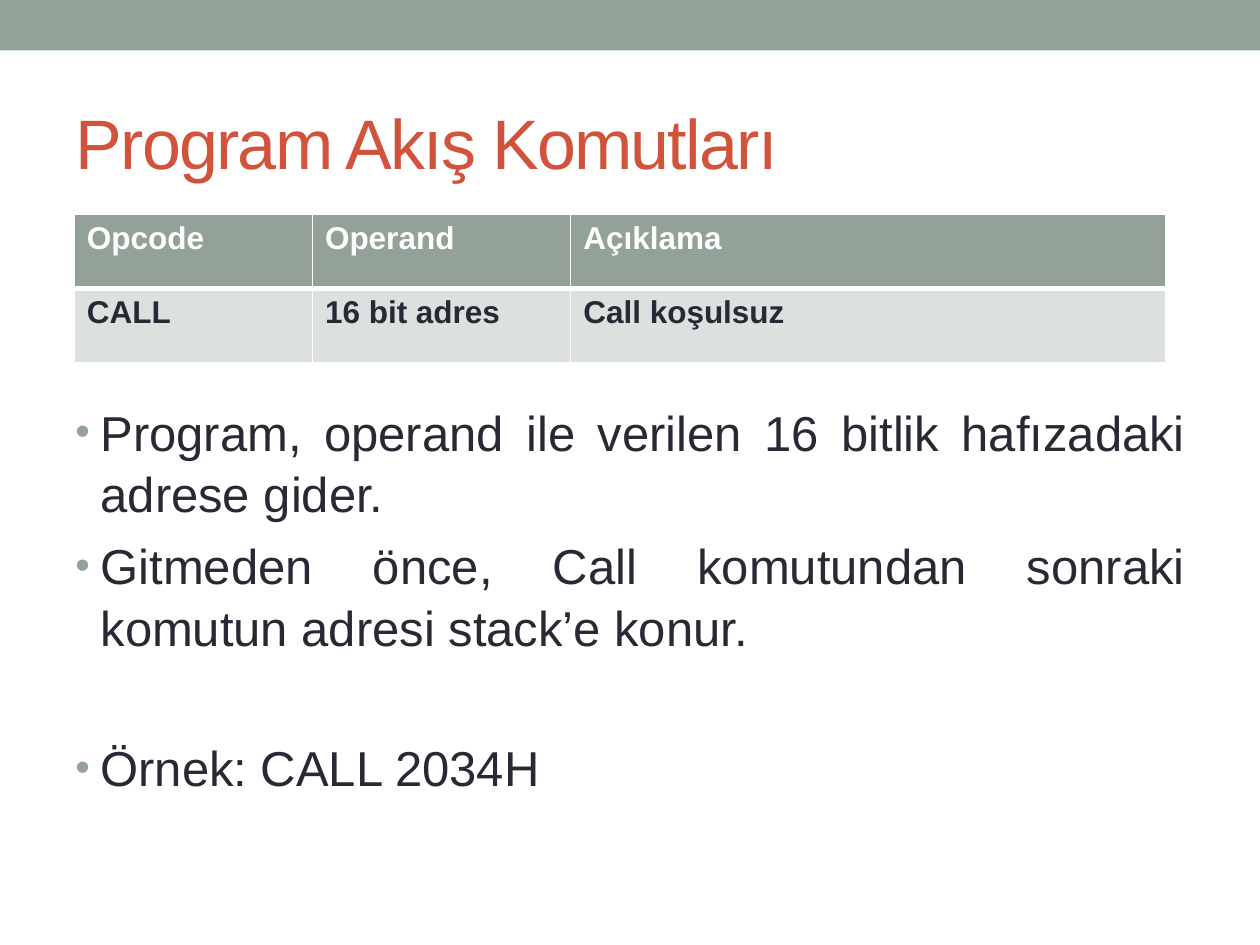
from lxml import etree
from pptx import Presentation
from pptx.dml.color import RGBColor
from pptx.enum.shapes import MSO_SHAPE
from pptx.enum.text import MSO_ANCHOR, PP_ALIGN
from pptx.oxml import parse_xml
from pptx.oxml.ns import nsdecls
from pptx.util import Inches, Pt

RECTANGLE = MSO_SHAPE.RECTANGLE
MIDDLE, TOP = MSO_ANCHOR.MIDDLE, MSO_ANCHOR.TOP
LEFT, JUSTIFY = PP_ALIGN.LEFT, PP_ALIGN.JUSTIFY
SAGE = RGBColor(0x93, 0xA2, 0x99)
PALE = RGBColor(0xDC, 0xE0, 0xDE)
RUST = RGBColor(0xD2, 0x53, 0x3C)
INK = RGBColor(0x29, 0x29, 0x34)
WHITE = RGBColor(0xFF, 0xFF, 0xFF)


def style_text(para, size, color, bold=False):
    for span in para.runs:
        span.font.name = "Arial"
        span.font.size = Pt(size)
        span.font.color.rgb = color
        span.font.bold = bold


def add_border(cell, side, width):
    cell._tc.get_or_add_tcPr().append(parse_xml(
        f'<a:{side} {nsdecls("a")} w="{Pt(width)}"><a:solidFill>'
        f'<a:srgbClr val="{WHITE}"/></a:solidFill></a:{side}>'))


deck = Presentation()
deck.slide_width, deck.slide_height = Inches(10), Inches(7.5)
page = deck.slides.add_slide(deck.slide_layouts[5])

# Top band
band = page.shapes.add_shape(RECTANGLE, 0, 0, Inches(10), Inches(0.4))
band.shadow.inherit = False
band.fill.solid()
band.fill.fore_color.rgb = SAGE
band.line.fill.background()

# Title
title = page.shapes.title
title.left, title.top = Inches(0.5), Inches(0.58)
title.width, title.height = Inches(9), Inches(1.08)
title.text_frame.text = "Program Akış Komutları"
title.text_frame.vertical_anchor = MIDDLE
para = title.text_frame.paragraphs[0]
para.alignment = LEFT
style_text(para, 40, RUST)
para.runs[0].font._element.set("spc", "-100")

# Explanation bullets: text and space before in points
bullets = [
    ("Program, operand ile verilen 16 bitlik hafızadaki adrese gider.", 0),
    ("Gitmeden önce, Call komutundan sonraki komutun adresi stack’e konur.", 5.6),
    ("Örnek: CALL 2034H", 45),
]
box = page.shapes.add_textbox(Inches(0.5), Inches(3.12), Inches(9), Inches(3.96))
frame = box.text_frame
frame.word_wrap = True
for index, (text, space) in enumerate(bullets):
    para = frame.add_paragraph() if index else frame.paragraphs[0]
    para.text = text
    para.alignment = JUSTIFY
    para.line_spacing = 1.05
    para.space_before = Pt(space)
    style_text(para, 28, INK)
    props = para._p.get_or_add_pPr()
    props.set("marL", str(Inches(0.2)))
    props.set("indent", str(Inches(-0.2)))
    color = parse_xml(f'<a:buClr {nsdecls("a")}><a:srgbClr val="{SAGE}"/></a:buClr>')
    props.append(color)
    namespace = etree.QName(color).namespace
    for tag, name, value in (("buSzPct", "val", "85000"),
                             ("buFont", "typeface", "Arial"),
                             ("buChar", "char", "•")):
        etree.SubElement(props, f"{{{namespace}}}{tag}").set(name, value)

# Instruction table
rows = [
    ("Opcode", "Operand", "Açıklama"),
    ("CALL", "16 bit adres", "Call koşulsuz"),
]
table = page.shapes.add_table(2, 3, Inches(0.59), Inches(1.7),
                              Inches(8.66), Inches(1.18)).table
for column, width in zip(table.columns, (1.89, 2.05, 4.72)):
    column.width = Inches(width)
for row_index, texts in enumerate(rows):
    header = row_index == 0
    table.rows[row_index].height = Inches(0.59)
    for column_index, text in enumerate(texts):
        cell = table.cell(row_index, column_index)
        cell.text = text
        cell.vertical_anchor = TOP
        style_text(cell.text_frame.paragraphs[0], 18, WHITE if header else INK, True)
        for side in ("lnL", "lnR", "lnT", "lnB"):
            between_rows = side == ("lnB" if header else "lnT")
            add_border(cell, side, 3 if between_rows else 1)
        cell.fill.solid()
        cell.fill.fore_color.rgb = SAGE if header else PALE

deck.save("out.pptx")
